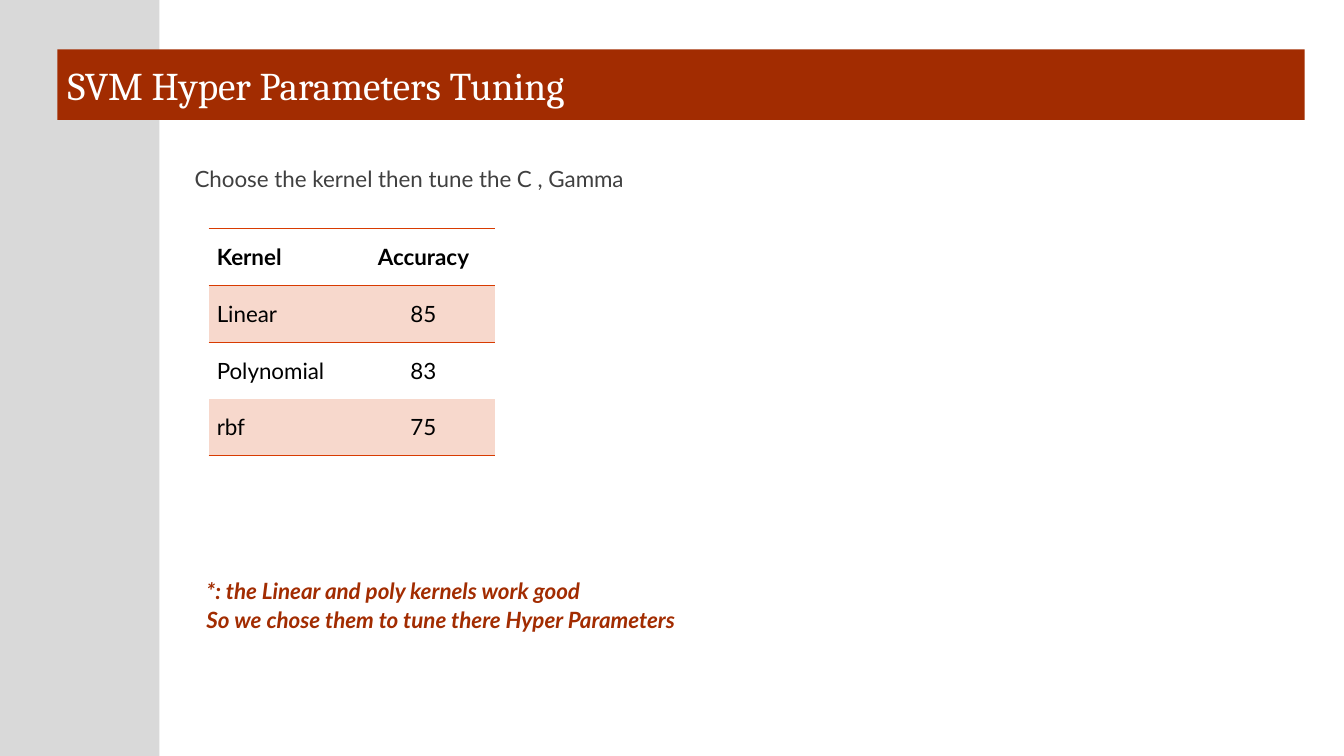
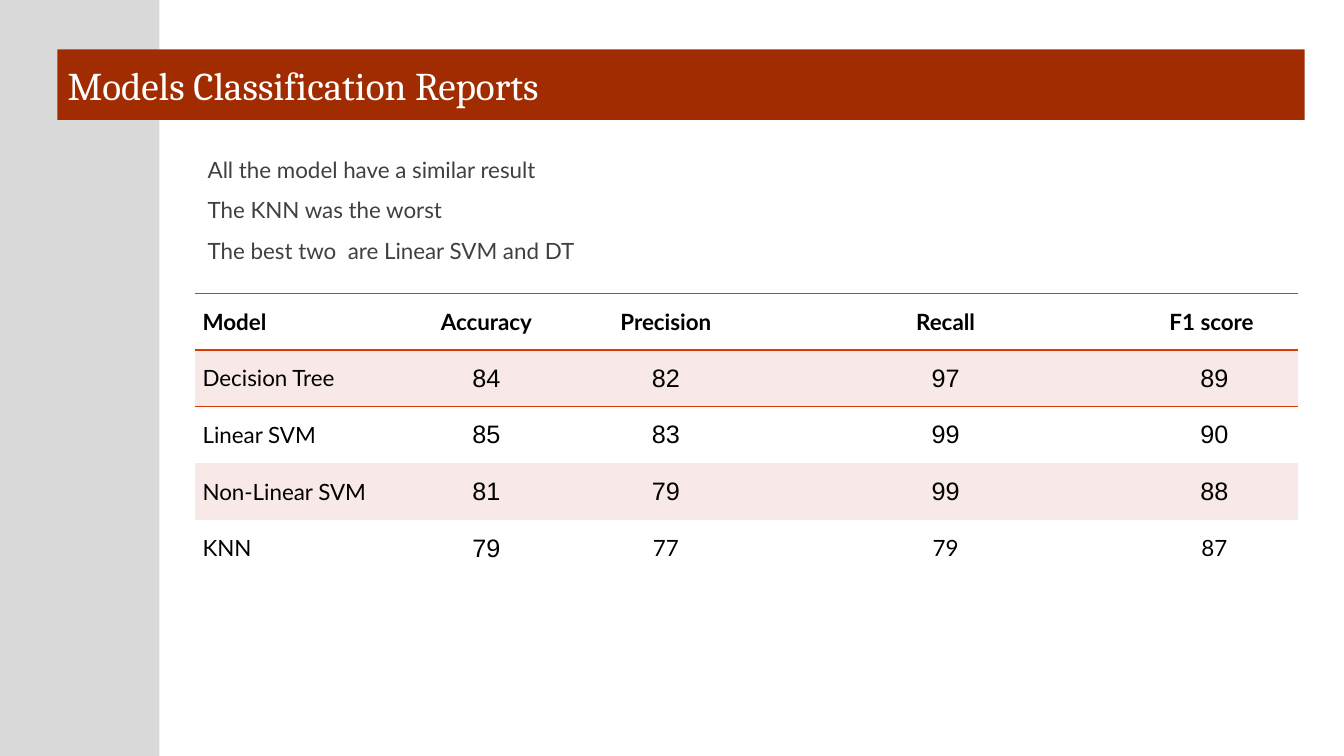
from dataclasses import dataclass
from itertools import product

from lxml import etree
from pptx import Presentation
from pptx.dml.color import RGBColor
from pptx.enum.shapes import MSO_SHAPE
from pptx.enum.text import MSO_ANCHOR, MSO_AUTO_SIZE, PP_ALIGN
from pptx.oxml.ns import qn
from pptx.util import Inches, Pt

RECTANGLE = MSO_SHAPE.RECTANGLE
MIDDLE, TOP = MSO_ANCHOR.MIDDLE, MSO_ANCHOR.TOP
NO_AUTOFIT = MSO_AUTO_SIZE.NONE
LEFT, CENTER = PP_ALIGN.LEFT, PP_ALIGN.CENTER
TITLE_AND_CONTENT = 1
PLAIN_TABLE_STYLE = "{2D5ABB26-0587-4C30-8999-92F81FD0307C}"


@dataclass(frozen=True)
class Theme:
    band: str = "D9D9D9"
    accent: str = "A22C01"
    rule: str = "D83B01"
    orange_stripe: str = "F7D8CC"
    pink_stripe: str = "F8E8E7"
    title_text: str = "FFFFFF"
    body_text: str = "404040"
    table_text: str = "000000"
    title_font: str = "Cambria"
    body_font: str = "Lato"
    number_font: str = "Arial"
    title_size: int = 28
    body_size: int = 16
    number_size: int = 18
    line_spacing: float = 1.08
    paragraph_gap: int = 8
    row_height: float = 0.5625


THEME = Theme()


def place(shape, box):
    shape.left, shape.top, shape.width, shape.height = map(Inches, box)


def fill_solid(target, color):
    target.fill.solid()
    target.fill.fore_color.rgb = RGBColor.from_string(color)


def format_runs(paragraph, font, size, color, bold=False, italic=False):
    for run in paragraph.runs:
        run.font.name = font
        run.font.size = Pt(size)
        run.font.color.rgb = RGBColor.from_string(color)
        run.font.bold = bold
        run.font.italic = italic


def add_side_band(slide, box):
    band = slide.shapes.add_shape(RECTANGLE, *map(Inches, box))
    band.shadow.inherit = False
    fill_solid(band, THEME.band)
    band.line.fill.background()
    slide.shapes._spTree.insert(2, band._element)


def set_title(slide, box, text):
    title = slide.shapes.title
    place(title, box)
    fill_solid(title, THEME.accent)
    frame = title.text_frame
    frame.text = text
    frame.auto_size = NO_AUTOFIT
    frame.vertical_anchor = MIDDLE
    paragraph = frame.paragraphs[0]
    paragraph.alignment = LEFT
    format_runs(paragraph, THEME.title_font, THEME.title_size, THEME.title_text)


def write_lines(shape, lines, color, gap=0, bold=False, italic=False):
    frame = shape.text_frame
    frame.text = "\n".join(lines)
    frame.word_wrap = True
    frame.auto_size = NO_AUTOFIT
    frame.vertical_anchor = TOP
    for paragraph in frame.paragraphs:
        paragraph.line_spacing = THEME.line_spacing
        paragraph.space_before = Pt(0)
        paragraph.space_after = Pt(gap)
        format_runs(paragraph, THEME.body_font, THEME.body_size, color, bold, italic)


def set_body(slide, box, lines):
    body = slide.placeholders[1]
    place(body, box)
    write_lines(body, lines, THEME.body_text, THEME.paragraph_gap)
    for paragraph in body.text_frame.paragraphs:
        properties = paragraph._p.get_or_add_pPr()
        properties.set("marL", "0")
        properties.set("indent", "0")
        etree.SubElement(properties, qn("a:buNone"))


def add_note(slide, box, lines):
    note = slide.shapes.add_textbox(*map(Inches, box))
    write_lines(note, lines, THEME.accent, bold=True, italic=True)


def add_cell_rules(cell, sides):
    properties = cell._tc.get_or_add_tcPr()
    for position, side in enumerate(sides):
        line = etree.Element(qn(f"a:{side}"), w=str(Pt(1)))
        fill = etree.SubElement(line, qn("a:solidFill"))
        etree.SubElement(fill, qn("a:srgbClr"), val=THEME.rule)
        properties.insert(position, line)


def format_cell(cell, text, centered, bold, font, size):
    cell.text = text
    cell.vertical_anchor = MIDDLE
    cell.margin_left = cell.margin_right = Inches(0.08)
    cell.margin_top = cell.margin_bottom = Inches(0.05)
    paragraph = cell.text_frame.paragraphs[0]
    paragraph.alignment = CENTER if centered else LEFT
    format_runs(paragraph, font, size, THEME.table_text, bold)


def add_score_table(slide, left, top, widths, rows, stripe,
                    number_cells=(), closing_rule=False):
    height = THEME.row_height * len(rows)
    frame = slide.shapes.add_table(
        len(rows), len(widths), Inches(left), Inches(top),
        Inches(sum(widths)), Inches(height))
    table = frame.table
    table._tbl.tblPr.find(qn("a:tableStyleId")).text = PLAIN_TABLE_STYLE
    table.first_row = table.horz_banding = False
    for column, width in zip(table.columns, widths):
        column.width = Inches(width)
    for row in table.rows:
        row.height = Inches(THEME.row_height)
    for row, column in product(range(len(rows)), range(len(widths))):
        cell = table.cell(row, column)
        font, size = THEME.body_font, THEME.body_size
        if (row, column) in number_cells:
            font, size = THEME.number_font, THEME.number_size
        format_cell(cell, rows[row][column], column > 0, row == 0, font, size)
        if row % 2:
            fill_solid(cell, stripe)
        else:
            cell.fill.background()
        if row == 0:
            add_cell_rules(cell, ("lnT", "lnB"))
        elif row == 1:
            add_cell_rules(cell, ("lnT",))
        elif closing_rule and row == len(rows) - 1:
            add_cell_rules(cell, ("lnB",))


def add_content_slide(presentation, title, body_box, lines):
    layout = presentation.slide_layouts[TITLE_AND_CONTENT]
    slide = presentation.slides.add_slide(layout)
    add_side_band(slide, (0, 0, 1.58, 7.5))
    set_title(slide, (0.57, 0.49, 12.37, 0.7), title)
    set_body(slide, body_box, lines)
    return slide


def build_tuning_slide(presentation):
    slide = add_content_slide(
        presentation, "SVM Hyper Parameters Tuning", (1.83, 1.57, 6.15, 0.43),
        ["Choose the kernel then tune the C , Gamma"])
    rows = [
        ("Kernel", "Accuracy"),
        ("Linear", "85"),
        ("Polynomial", "83"),
        ("rbf", "75"),
    ]
    add_score_table(slide, 2.07, 2.27, (1.42, 1.42), rows,
                    THEME.orange_stripe, closing_rule=True)
    add_note(slide, (1.95, 5.65, 4.93, 1.32), [
        "*: the Linear and poly kernels work good",
        "So we chose them to tune there Hyper Parameters",
    ])


def build_reports_slide(presentation):
    slide = add_content_slide(
        presentation, "Models Classification Reports", (1.96, 1.48, 6.15, 1.26), [
            "All the model have a similar result",
            "The KNN was the worst",
            "The best two  are Linear SVM and DT",
        ])
    rows = [
        ("Model", "Accuracy", "Precision", "Recall", "F1 score "),
        ("Decision Tree", "84", "82", "97", "89"),
        ("Linear SVM", "85", "83", "99", "90"),
        ("Non-Linear SVM", "81", "79", "99", "88"),
        ("KNN", "79", "77", "79", "87"),
    ]
    number_cells = {*product(range(1, 4), range(1, 5)), (4, 1)}
    add_score_table(slide, 1.93, 2.91, (2.05, 1.69, 1.87, 3.68, 1.65), rows,
                    THEME.pink_stripe, number_cells)


def main():
    presentation = Presentation()
    presentation.slide_width = Inches(13.33)
    presentation.slide_height = Inches(7.5)
    build_tuning_slide(presentation)
    build_reports_slide(presentation)
    presentation.save("out.pptx")


if __name__ == "__main__":
    main()
